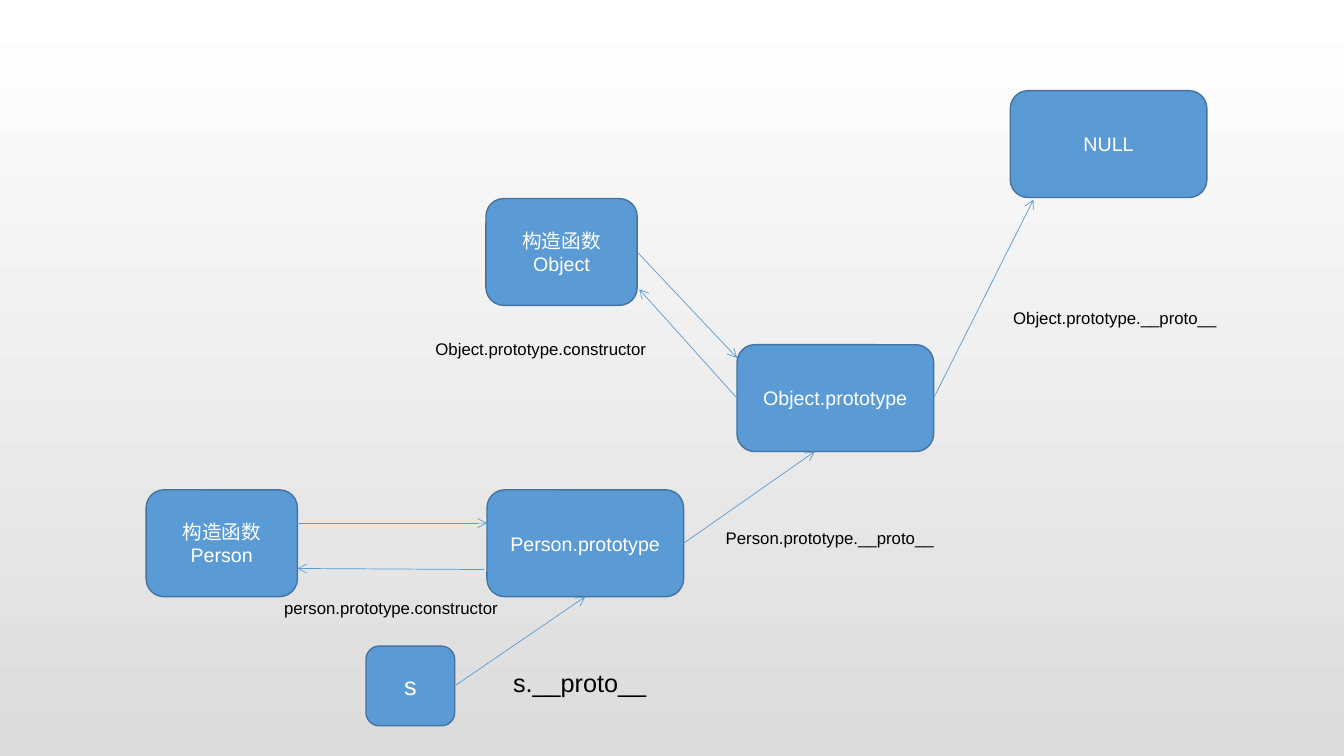
from pptx import Presentation
from pptx.dml.color import RGBColor
from pptx.enum.shapes import MSO_CONNECTOR, MSO_SHAPE
from pptx.enum.text import MSO_ANCHOR, MSO_AUTO_SIZE, PP_ALIGN
from pptx.oxml.ns import qn
from pptx.util import Inches, Pt
from lxml import etree

ROUND = MSO_SHAPE.ROUNDED_RECTANGLE
LINE = MSO_CONNECTOR.STRAIGHT
MIDDLE = MSO_ANCHOR.MIDDLE
CENTER, LEFT = PP_ALIGN.CENTER, PP_ALIGN.LEFT
GROW = MSO_AUTO_SIZE.SHAPE_TO_FIT_TEXT

BLUE, EDGE, WHITE, BLACK, GREY = "5B9BD5", "43739E", "FFFFFF", "000000", "DCDCDC"
SLIM, WIDE, HIGH = 1.5, 1.95, 1.06
BOTTOM, SIDE_L, SIDE_R = 2, 1, 3


def color(code):
    return RGBColor.from_string(code)


def write(frame, text, size=12, ink=BLACK, align=LEFT):
    para = frame.paragraphs[0]
    para.alignment = align
    run = para.add_run()
    run.text = text
    run.font.name = "Arial"
    run.font.size = Pt(size)
    run.font.color.rgb = color(ink)


def node(slide, text, x, y, w, h=HIGH, size=14):
    shape = slide.shapes.add_shape(ROUND, Inches(x), Inches(y), Inches(w), Inches(h))
    shape.shadow.inherit = False
    shape.fill.solid()
    shape.fill.fore_color.rgb = color(BLUE)
    shape.line.color.rgb = color(EDGE)
    shape.line.width = Pt(1)
    shape.text_frame.word_wrap = True
    shape.text_frame.vertical_anchor = MIDDLE
    write(shape.text_frame, text, size=size, ink=WHITE, align=CENTER)
    return shape


def label(slide, text, x, y, w, h=0.3, size=12, wrap=False):
    box = slide.shapes.add_textbox(Inches(x), Inches(y), Inches(w), Inches(h))
    box.text_frame.word_wrap = wrap
    box.text_frame.auto_size = GROW
    write(box.text_frame, text, size=size)


def arrow(slide, start, end, tail=None, head=None):
    """Draw an arrow; tail and head are optional (shape, side) joints."""
    link = slide.shapes.add_connector(LINE, *map(Inches, start + end))
    link.line.color.rgb = color(BLUE)
    link.line.width = Pt(0.5)
    etree.SubElement(link.line._get_or_add_ln(), qn("a:tailEnd"), type="arrow")
    etree.SubElement(link._element.spPr, qn("a:effectLst"))
    if tail:
        link.begin_connect(*tail)
    if head:
        link.end_connect(*head)


def person(slide, x, y):
    """Person constructor, its prototype and the instance s."""
    px, sx, sy = x + 3.38, x + 2.18, y + 1.55
    node(slide, "构造函数Person", x, y, SLIM)
    proto = node(slide, "Person.prototype", px, y, WIDE)
    item = node(slide, "s", sx, sy, 0.88, 0.79, size=18)

    # Links between constructor, prototype and instance
    arrow(slide, (x + SLIM, y + 0.33), (px, y + 0.33))
    arrow(slide, (px - 0.03, y + 0.79), (x + SLIM, y + 0.78))
    arrow(slide, (sx + 0.88, sy + 0.4), (px + WIDE / 2, y + HIGH),
          tail=(item, SIDE_R), head=(proto, BOTTOM))
    label(slide, "person.prototype.constructor", x + 1.27, y + 1.02, 2.32)
    label(slide, "s.__proto__", x + 3.54, y + 1.71, 1.52, 0.4, size=18)
    return proto


def root(slide, x, y):
    """Object constructor and its prototype."""
    px, py = x + 2.49, y + 1.45
    maker = node(slide, "构造函数Object", x, y, SLIM)
    proto = node(slide, "Object.prototype", px, py, WIDE)

    # Links in both directions
    arrow(slide, (x + SLIM, y + HIGH / 2), (px, py + 0.13), tail=(maker, SIDE_R))
    arrow(slide, (px, py + HIGH / 2), (x + SLIM + 0.02, y + 0.9), tail=(proto, SIDE_L))
    label(slide, "Object.prototype.constructor", x - 0.6, y + 1.34, 2.29, 0.5)
    return proto


def chain(slide, x, y, lower, upper):
    """NULL at the top and the links that lead up to it."""
    node(slide, "NULL", x, y, WIDE)
    arrow(slide, (x - 3.24, y + 4.49), (x - 1.94, y + 3.58), tail=(lower, SIDE_R))
    arrow(slide, (x - 0.76, y + 3.05), (x + 0.23, y + 1.08), tail=(upper, SIDE_R))
    label(slide, "Person.prototype.__proto__", x - 2.92, y + 4.29, 2.37, 0.5, wrap=True)
    label(slide, "Object.prototype.__proto__", x - 0.07, y + 2.1, 2.22, 0.71)


def main():
    deck = Presentation()
    deck.slide_width, deck.slide_height = Inches(13.33), Inches(7.5)
    slide = deck.slides.add_slide(deck.slide_layouts[6])

    # Background: white at the top, grey at the bottom
    fill = slide.background.fill
    fill.gradient()
    fill.gradient_angle = 270
    for stop, code in zip(fill.gradient_stops, (WHITE, GREY)):
        stop.color.rgb = color(code)

    lower = person(slide, 1.45, 4.86)
    upper = root(slide, 4.82, 1.97)
    chain(slide, 10.02, 0.9, lower, upper)
    deck.save("out.pptx")


if __name__ == "__main__":
    main()
